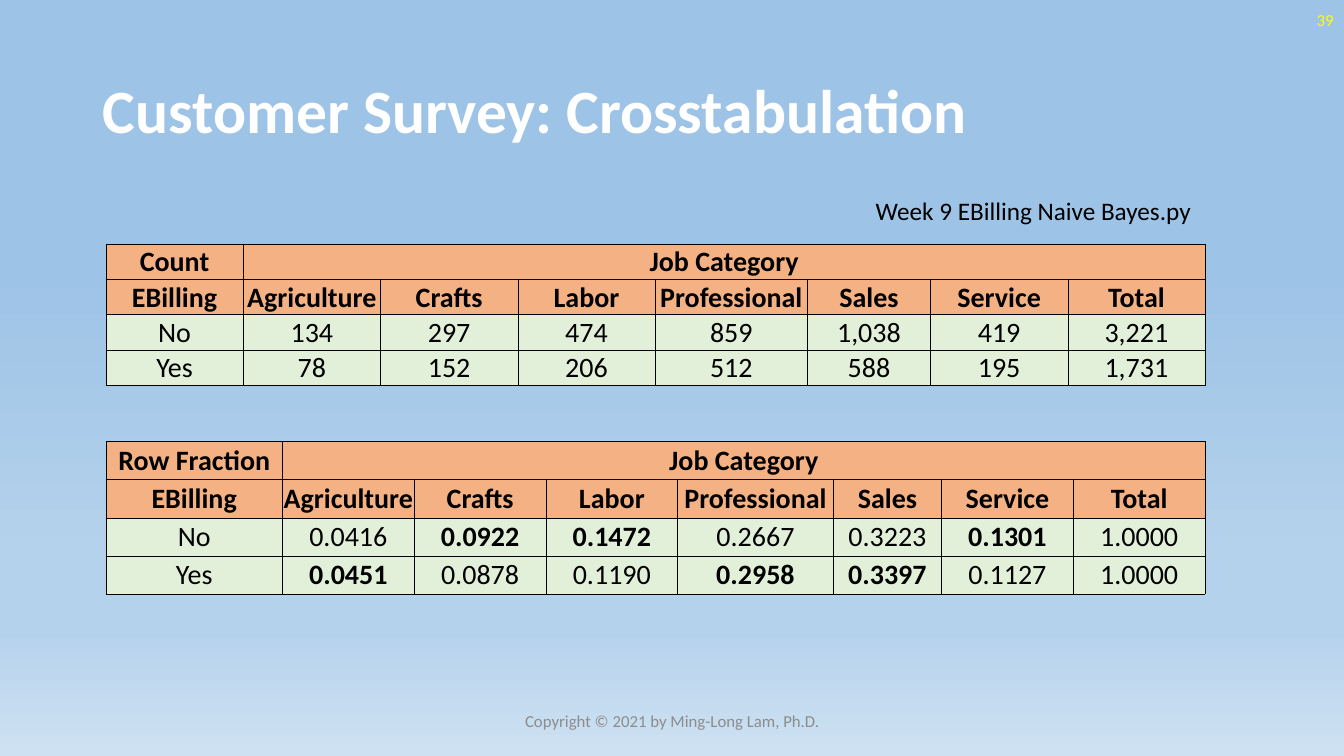
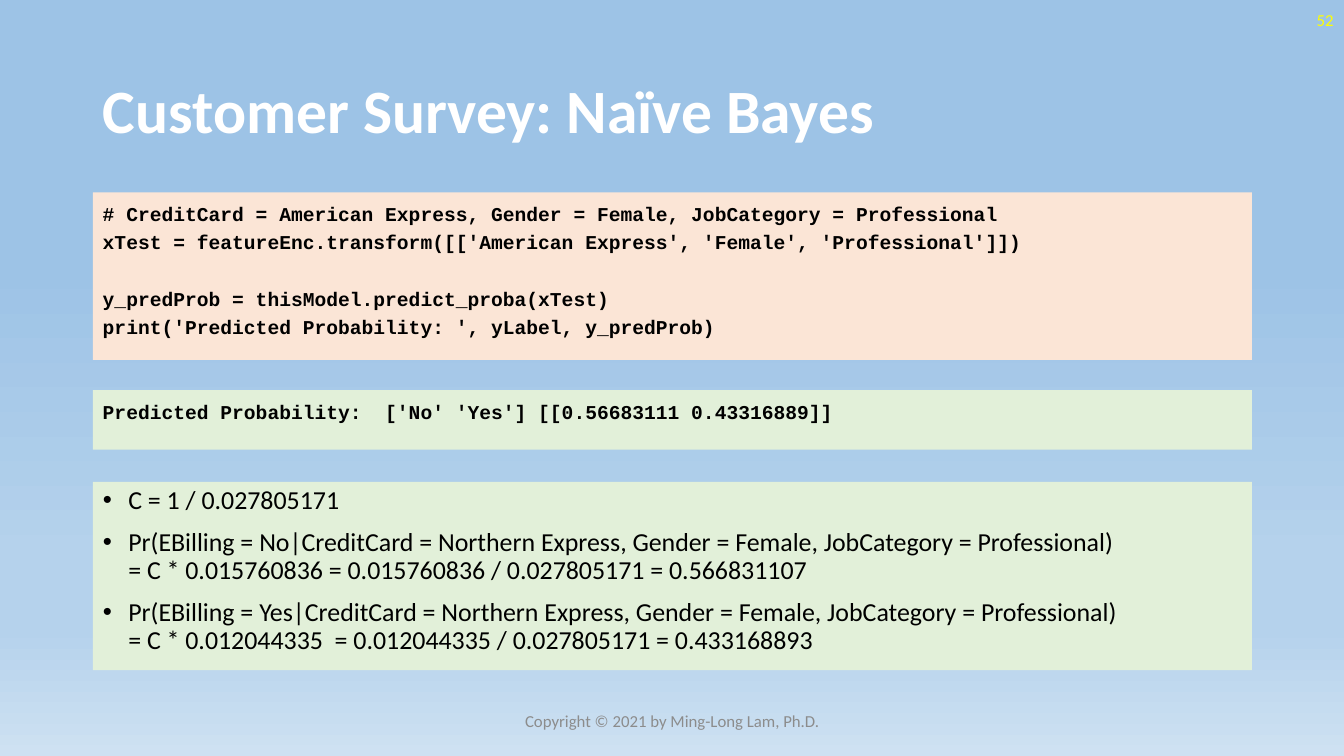
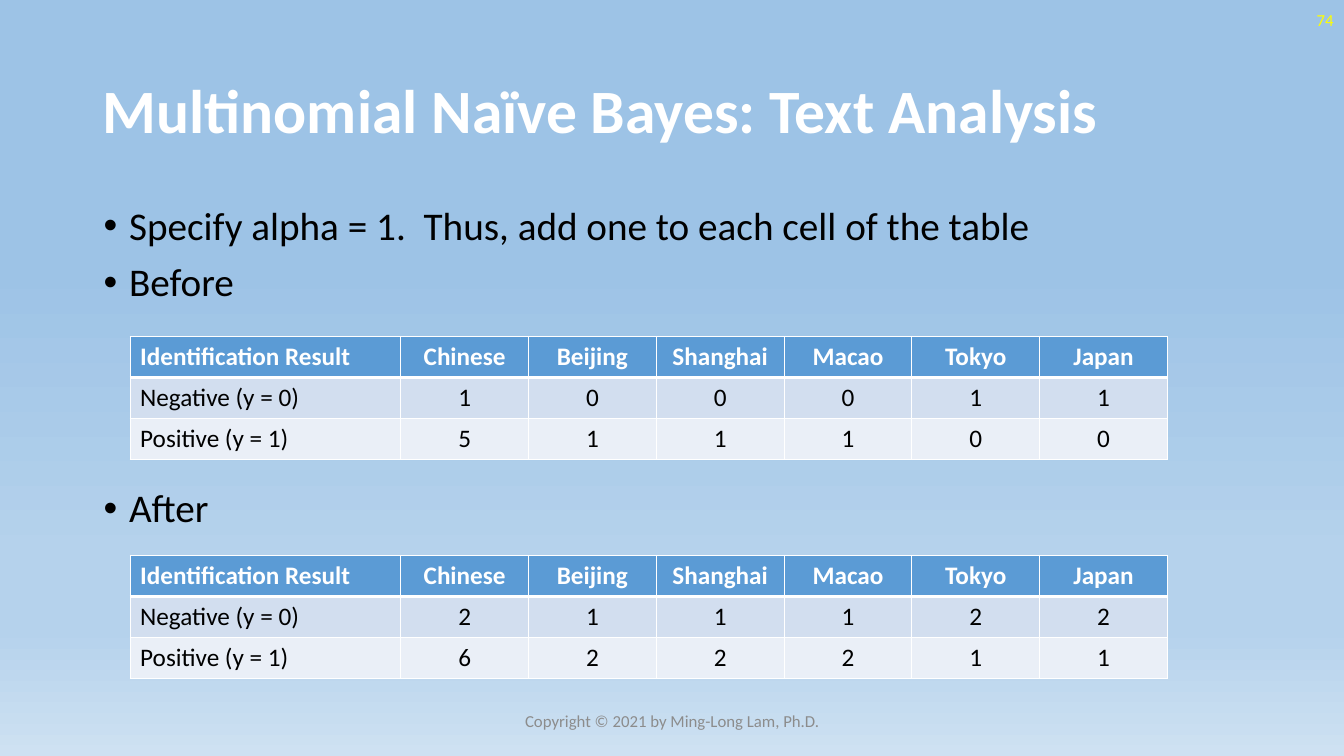
import copy

import pptx
import pptx.dml.color
import pptx.enum.shapes
import pptx.enum.text
import pptx.oxml.ns
import pptx.oxml.xmlchemy
import pptx.util
from lxml import etree
from pptx.dml.color import RGBColor
from pptx.enum.text import MSO_ANCHOR, MSO_AUTO_SIZE, PP_ALIGN
from pptx.oxml.ns import qn
from pptx.util import Cm, Pt

# Colours
BLACK = RGBColor(0x00, 0x00, 0x00)
WHITE = RGBColor(0xFF, 0xFF, 0xFF)
YELLOW = RGBColor(0xFF, 0xFF, 0x00)
GREY = RGBColor(0x8C, 0x8C, 0x8C)
ORANGE = RGBColor(0xF4, 0xB1, 0x83)
PEACH = RGBColor(0xFB, 0xE5, 0xD6)
GREEN = RGBColor(0xE2, 0xF0, 0xD9)
BLUE = RGBColor(0x5B, 0x9B, 0xD5)
BAND_DARK = RGBColor(0xD2, 0xDE, 0xEF)
BAND_LIGHT = RGBColor(0xEA, 0xEF, 0xF7)
SKY_DEEP = RGBColor(0x9D, 0xC3, 0xE6)
SKY_MIDDLE = RGBColor(0xB5, 0xD2, 0xEC)
SKY_PALE = RGBColor(0xCE, 0xE1, 0xF2)
BACKGROUND_STOPS = [(35, SKY_DEEP), (74, SKY_MIDDLE), (83, SKY_MIDDLE), (100, SKY_PALE)]

# Shared layout and text formats
LEFT, WIDTH = 2.34, 29.21
COPYRIGHT = "Copyright © 2021 by Ming-Long Lam, Ph.D."
TITLE_ONLY, TITLE_AND_BODY = 5, 1
TITLE_FONT = {"name": "Calibri", "size": Pt(44), "bold": True}
SMALL_FONT = {"name": "Calibri", "size": Pt(12)}
CODE_FONT = {"name": "Courier New", "size": Pt(14), "bold": True}
LIST_LINE = {"line_spacing": 0.9, "space_before": Pt(10), "alignment": PP_ALIGN.LEFT}
CODE_LINE = {"line_spacing": 1.2, "space_before": Pt(0), "alignment": PP_ALIGN.LEFT}


def calibri(size, bold=False):
    return {"name": "Calibri", "size": Pt(size), "bold": bold}


def set_values(target, values):
    for name, value in values.items():
        setattr(target, name, value)


def place(shape, left, top, width, height):
    set_values(shape, {"left": Cm(left), "top": Cm(top),
                       "width": Cm(width), "height": Cm(height)})


def add_xml(parent, tag, **attributes):
    return etree.SubElement(parent, qn(tag), {key: str(value) for key, value in attributes.items()})


def write_paragraph(paragraph, text, font, color, line):
    paragraph.text = text
    set_values(paragraph, line)
    for run in paragraph.runs:
        set_values(run.font, font)
        run.font.color.rgb = color
    # Line breaks take the size of the text around them
    for line_break in paragraph._p.findall(qn("a:br")):
        line_break.insert(0, copy.deepcopy(paragraph._p.find(qn("a:r")).find(qn("a:rPr"))))


def write_lines(text_frame, lines, font, color, line, bullet=False):
    set_values(text_frame, {"word_wrap": True, "auto_size": MSO_AUTO_SIZE.NONE,
                            "vertical_anchor": MSO_ANCHOR.TOP})
    for index, text in enumerate(lines):
        paragraph = text_frame.add_paragraph() if index else text_frame.paragraphs[0]
        if bullet:
            properties = paragraph._p.get_or_add_pPr()
            properties.set("marL", str(Cm(0.64)))
            properties.set("indent", str(Cm(-0.64)))
            add_xml(properties, "a:buFont", typeface="Arial")
            add_xml(properties, "a:buChar", char="•")
        write_paragraph(paragraph, text, font, color, line)
    text_frame.paragraphs[0].space_before = Pt(0)


def set_background(master):
    fill = master.background.fill
    fill.gradient()
    fill.gradient_angle = 270
    stops = master.element.xpath(".//p:bg//a:gsLst")[0]
    for stop in list(stops):
        stops.remove(stop)
    for position, color in BACKGROUND_STOPS:
        stop = add_xml(stops, "a:gs", pos=position * 1000)
        add_xml(stop, "a:srgbClr", val=color)


def add_label(slide, text, box, font, color, alignment, wrap=True, anchor=MSO_ANCHOR.MIDDLE):
    label = slide.shapes.add_textbox(*map(Cm, box))
    set_values(label.text_frame, {"word_wrap": wrap, "vertical_anchor": anchor})
    write_paragraph(label.text_frame.paragraphs[0], text, font, color, {"alignment": alignment})


def add_slide(presentation, layout, title, number):
    slide = presentation.slides.add_slide(presentation.slide_layouts[layout])
    place(slide.shapes.title, LEFT, 1.02, WIDTH, 3.68)
    write_lines(slide.shapes.title.text_frame, [title], TITLE_FONT, WHITE, LIST_LINE)
    slide.shapes.title.text_frame.vertical_anchor = MSO_ANCHOR.MIDDLE
    add_label(slide, number, (26.24, 0, 7.62, 1.02), SMALL_FONT, YELLOW, PP_ALIGN.RIGHT)
    add_label(slide, COPYRIGHT, (11.23, 17.65, 11.43, 1.02), SMALL_FONT, GREY, PP_ALIGN.CENTER)
    return slide


def add_list(slide, items, box, size):
    body = slide.placeholders[1]
    place(body, *box)
    write_lines(body.text_frame, items, calibri(size), BLACK, LIST_LINE, bullet=True)
    return body


def add_code_panel(slide, lines, top, height, color):
    panel = slide.shapes.add_shape(pptx.enum.shapes.MSO_SHAPE.RECTANGLE,
                                   Cm(LEFT), Cm(top), Cm(WIDTH), Cm(height))
    panel.shadow.inherit = False
    panel.fill.solid()
    panel.fill.fore_color.rgb = color
    panel.line.fill.background()
    write_lines(panel.text_frame, lines, CODE_FONT, BLACK, CODE_LINE)
    return panel


# Tables
def format_cell(cell, text, font, color, fill, alignment, borders, border_color):
    properties = cell._tc.get_or_add_tcPr()
    for side, width in borders.items():
        line = add_xml(properties, f"a:ln{side}", w=Pt(width))
        add_xml(add_xml(line, "a:solidFill"), "a:srgbClr", val=border_color)
    cell.fill.solid()
    cell.fill.fore_color.rgb = fill
    cell.vertical_anchor = MSO_ANCHOR.MIDDLE
    write_paragraph(cell.text_frame.paragraphs[0], text, font, color, {"alignment": alignment})


def add_grid(slide, left, top, widths, row_height, row_count):
    frame = slide.shapes.add_table(row_count, len(widths), Cm(left), Cm(top),
                                   Cm(sum(widths)), Cm(row_height * row_count))
    table = frame.table
    set_values(table, {"first_row": False, "horz_banding": False})
    for column, width in zip(table.columns, widths):
        column.width = Cm(width)
    for row in table.rows:
        row.height = Cm(row_height)
    return table


def add_crosstab(slide, top, widths, row_height, corner, counts, mark_largest=False):
    rows = [[corner, "Job Category"] + [""] * 6,
            ["EBilling", "Agriculture", "Crafts", "Labor", "Professional",
             "Sales", "Service", "Total"]] + counts
    table = add_grid(slide, 2.67, top, widths, row_height, len(rows))
    table.cell(0, 1).merge(table.cell(0, 7))
    for row_index, row in enumerate(rows):
        header = row_index < 2
        for column_index, text in enumerate(row):
            rival = min(values[column_index] for values in counts)
            largest = mark_largest and column_index > 0 and text > rival
            cell = table.cell(row_index, column_index)
            set_values(cell, {"margin_left": Cm(0.02), "margin_right": Cm(0.02),
                              "margin_top": Cm(0.02), "margin_bottom": 0})
            format_cell(cell, text, calibri(20, header or largest), BLACK,
                        ORANGE if header else GREEN, PP_ALIGN.CENTER,
                        dict.fromkeys("LRTB", 0.5), BLACK)


def add_word_counts(slide, top, negative, positive):
    rows = [["Identification Result", "Chinese", "Beijing", "Shanghai", "Macao", "Tokyo", "Japan"],
            ["Negative (y = 0)", *map(str, negative)],
            ["Positive (y = 1)", *map(str, positive)]]
    fills = [BLUE, BAND_DARK, BAND_LIGHT]
    table = add_grid(slide, 3.28, top, [6.82] + [3.22] * 6, 1.03, len(rows))
    for row_index, row in enumerate(rows):
        header = row_index == 0
        borders = {"L": 1, "R": 1, "T": 3 if row_index == 1 else 1, "B": 3 if header else 1}
        for column_index, text in enumerate(row):
            format_cell(table.cell(row_index, column_index), text, calibri(18, header),
                        WHITE if header else BLACK, fills[row_index],
                        PP_ALIGN.CENTER if column_index else PP_ALIGN.LEFT, borders, WHITE)


# Slides
def build_crosstabulation(presentation):
    slide = add_slide(presentation, TITLE_ONLY, "Customer Survey: Crosstabulation", "39")
    add_crosstab(slide, 6.15, [3.46] * 4 + [3.84, 3.1] + [3.46] * 2, 0.89, "Count", [
        ["No", "134", "297", "474", "859", "1,038", "419", "3,221"],
        ["Yes", "78", "152", "206", "512", "588", "195", "1,731"]])
    add_crosstab(slide, 11.13, [4.45] + [3.32] * 3 + [3.92, 2.73] + [3.32] * 2, 0.96,
                 "Row Fraction", [
                     ["No", "0.0416", "0.0922", "0.1472", "0.2667", "0.3223", "0.1301", "1.0000"],
                     ["Yes", "0.0451", "0.0878", "0.1190", "0.2958", "0.3397", "0.1127", "1.0000"]],
                 mark_largest=True)
    add_label(slide, "Week 9 EBilling Naive Bayes.py", (21.82, 4.8, 8.53, 1.02), calibri(18),
              BLACK, PP_ALIGN.LEFT, wrap=False, anchor=MSO_ANCHOR.TOP)


def build_prediction(presentation):
    slide = add_slide(presentation, TITLE_AND_BODY, "Customer Survey: Naïve Bayes", "52")
    code = add_code_panel(slide, [
        "# CreditCard = American Express, Gender = Female, JobCategory = Professional",
        "xTest = featureEnc.transform([['American Express', 'Female', 'Professional']])",
        "y_predProb = thisModel.predict_proba(xTest)",
        "print('Predicted Probability: ', yLabel, y_predProb)"], 4.85, 4.22, PEACH)
    code.text_frame.paragraphs[2].space_before = Pt(20)
    add_code_panel(slide, ["Predicted Probability:  ['No' 'Yes'] [[0.56683111 0.43316889]]"],
                   9.83, 1.5, GREEN)
    body = add_list(slide, [
        "C = 1 / 0.027805171",
        "Pr(EBilling = No|CreditCard = Northern Express, Gender = Female, "
        "JobCategory = Professional)\n"
        "= C * 0.015760836 = 0.015760836 / 0.027805171 = 0.566831107",
        "Pr(EBilling = Yes|CreditCard = Northern Express, Gender = Female, "
        "JobCategory = Professional)\n"
        "= C * 0.012044335  = 0.012044335 / 0.027805171 = 0.433168893"],
        (LEFT, 12.14, WIDTH, 4.75), 18.5)
    body.fill.solid()
    body.fill.fore_color.rgb = GREEN


def build_text_analysis(presentation):
    slide = add_slide(presentation, TITLE_AND_BODY, "Multinomial Naïve Bayes: Text Analysis", "74")
    body = add_list(slide, ["Specify alpha = 1.  Thus, add one to each cell of the table",
                            "Before", "After"], (2.36, 5.08, WIDTH, 12.09), 28)
    # Room for the first table
    body.text_frame.paragraphs[2].space_before = Pt(131)
    before = [[1, 0, 0, 0, 1, 1], [5, 1, 1, 1, 0, 0]]
    after = [[count + 1 for count in counts] for counts in before]
    add_word_counts(slide, 8.48, *before)
    add_word_counts(slide, 14, *after)


def main():
    presentation = pptx.Presentation()
    set_values(presentation, {"slide_width": Cm(33.87), "slide_height": Cm(19.05)})
    set_background(presentation.slide_master)
    build_crosstabulation(presentation)
    build_prediction(presentation)
    build_text_analysis(presentation)
    presentation.save("out.pptx")


if __name__ == "__main__":
    main()
